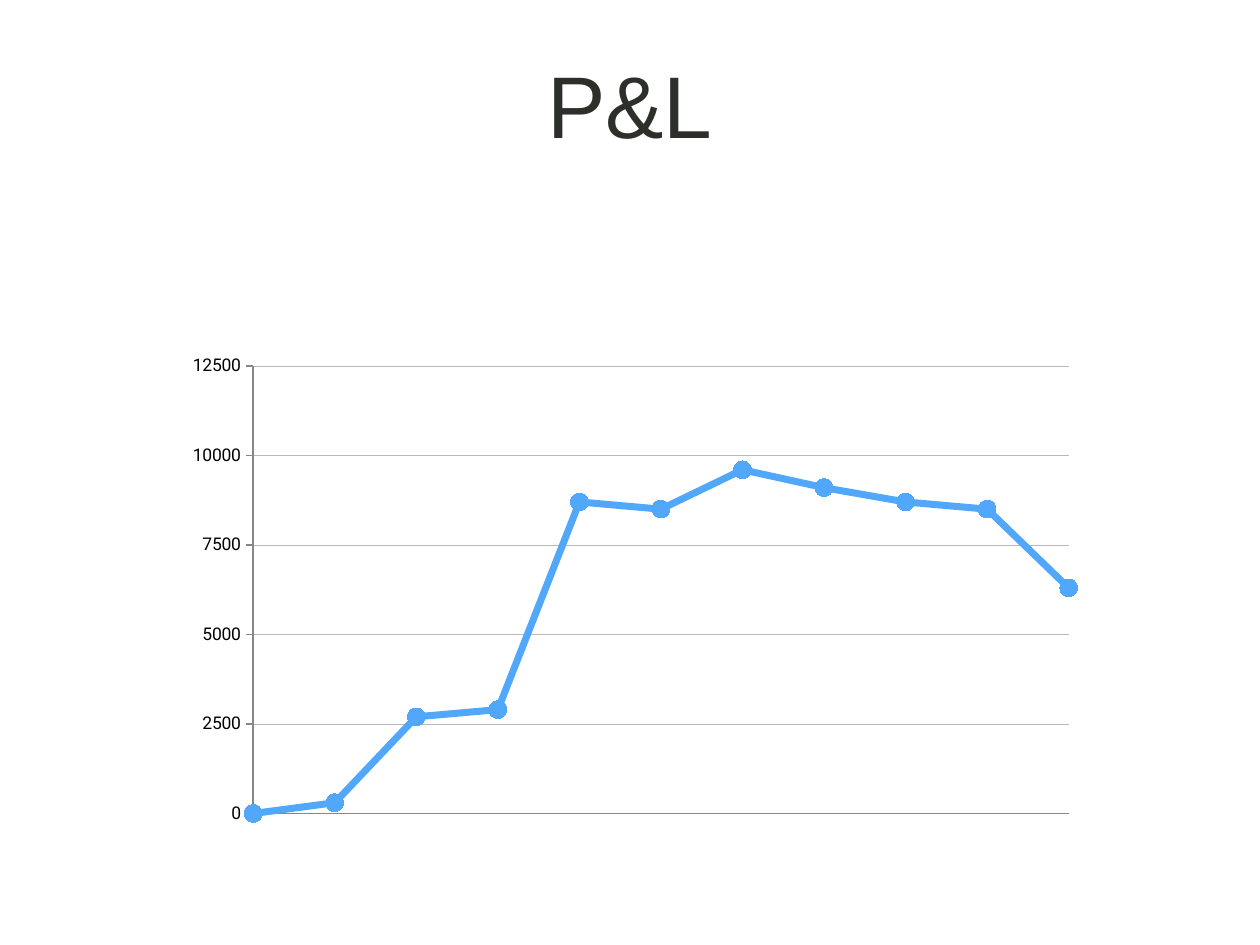
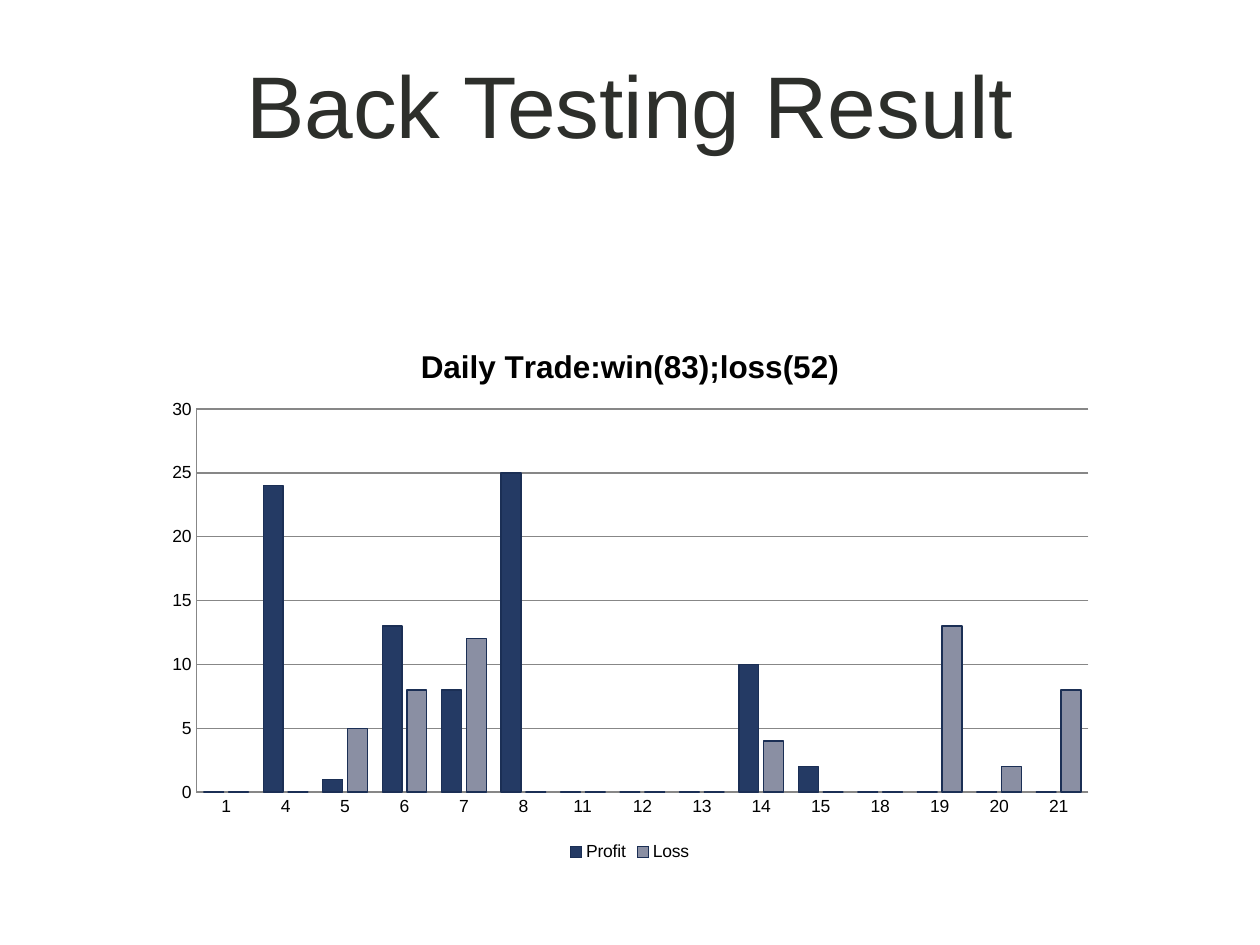
from lxml import etree
from pptx import Presentation
from pptx.chart.data import CategoryChartData
from pptx.dml.color import RGBColor
from pptx.enum.chart import (XL_CHART_TYPE, XL_LEGEND_POSITION, XL_MARKER_STYLE,
                             XL_TICK_LABEL_POSITION, XL_TICK_MARK)
from pptx.enum.text import MSO_ANCHOR, PP_ALIGN
from pptx.oxml.ns import qn
from pptx.util import Pt

LINE_MARKERS = XL_CHART_TYPE.LINE_MARKERS
COLUMNS = XL_CHART_TYPE.COLUMN_CLUSTERED
LEGEND_BOTTOM = XL_LEGEND_POSITION.BOTTOM
CIRCLE = XL_MARKER_STYLE.CIRCLE
NO_LABELS = XL_TICK_LABEL_POSITION.NONE
NO_TICK = XL_TICK_MARK.NONE
TICK_OUT = XL_TICK_MARK.OUTSIDE
MIDDLE = MSO_ANCHOR.MIDDLE
CENTER = PP_ALIGN.CENTER

EMU_PER_PX = 9144
TITLE_COLOR = RGBColor(0x2D, 0x2F, 0x2B)
BLACK = RGBColor(0x00, 0x00, 0x00)
AXIS_GRAY = RGBColor(0x87, 0x87, 0x87)
GRID_GRAY = RGBColor(0xB8, 0xB8, 0xB8)
PNL_BLUE = RGBColor(0x51, 0xA7, 0xF9)
PROFIT_NAVY = RGBColor(0x24, 0x3A, 0x64)
LOSS_GRAY = RGBColor(0x8A, 0x8F, 0xA3)
BAR_EDGE = RGBColor(0x1B, 0x2F, 0x55)

PNL = [0, 300, 2700, 2900, 8700, 8500, 9600, 9100, 8700, 8500, 6300]
TRADE_DAYS = [1, 4, 5, 6, 7, 8, 11, 12, 13, 14, 15, 18, 19, 20, 21]
PROFIT = [0, 24, 1, 13, 8, 25, 0, 0, 0, 10, 2, 0, 0, 0, 0]
LOSS = [0, 0, 5, 8, 12, 0, 0, 0, 0, 4, 0, 0, 13, 2, 8]


def px(*lengths):
    return [n * EMU_PER_PX for n in lengths]


def set_line(line, color, width):
    line.color.rgb = color
    line.width = Pt(width)


def set_font(font, size, name="Arial", color=BLACK, bold=False):
    font.size = Pt(size)
    font.name = name
    font.color.rgb = color
    font.bold = bold


def add_titled_slide(prs, title):
    s = prs.slides.add_slide(prs.slide_layouts[6])
    tf = s.shapes.add_textbox(*px(75, 7, 850, 150)).text_frame
    tf.word_wrap = True
    tf.vertical_anchor = MIDDLE
    p = tf.paragraphs[0]
    p.text = title
    p.alignment = CENTER
    set_font(p.font, 50, color=TITLE_COLOR)
    return s


def place_plot(chart, **fractions):
    area = chart._chartSpace.chart.plotArea
    for old in area.findall(qn("c:layout")):
        area.remove(old)
    layout = etree.Element(qn("c:layout"))
    manual = etree.SubElement(layout, qn("c:manualLayout"))
    settings = {"layoutTarget": "inner", "xMode": "edge", "yMode": "edge", **fractions}
    for tag, value in settings.items():
        etree.SubElement(manual, qn("c:" + tag), val=str(value))
    area.insert(0, layout)


def start_line_on_axis(axis):
    element = axis._element
    for old in element.findall(qn("c:crossBetween")):
        element.remove(old)
    between = etree.Element(qn("c:crossBetween"), val="midCat")
    element.find(qn("c:majorUnit")).addprevious(between)


def add_chart(s, kind, box, categories, series, top, step, font_name):
    data = CategoryChartData()
    data.categories = [str(c) for c in categories]
    for name, values in series.items():
        data.add_series(name, values)
    chart = s.shapes.add_chart(kind, *px(*box), data).chart
    set_font(chart.font, 10, font_name)
    chart.has_title = False
    chart.has_legend = False
    chart.plots[0].vary_by_categories = False
    for axis in (chart.category_axis, chart.value_axis):
        axis.major_tick_mark = NO_TICK
        axis.minor_tick_mark = NO_TICK
        set_line(axis.format.line, AXIS_GRAY, 1)
    axis = chart.value_axis
    axis.minimum_scale = 0
    axis.maximum_scale = top
    axis.major_unit = step
    axis.has_major_gridlines = True
    axis.tick_labels.number_format = "0"
    axis.tick_labels.number_format_is_linked = False
    return chart


def add_pnl_chart(s):
    chart = add_chart(s, LINE_MARKERS, (138, 275, 724, 387), range(1, 12),
                      {"Series 1": PNL}, 12500, 2500, "Roboto")
    place_plot(chart, x=0.087, y=0.04, w=0.894, h=0.918)
    chart.category_axis.tick_label_position = NO_LABELS
    axis = chart.value_axis
    axis.major_tick_mark = TICK_OUT
    set_line(axis.major_gridlines.format.line, GRID_GRAY, 0.25)
    start_line_on_axis(axis)
    line = chart.plots[0].series[0]
    line.smooth = False
    set_line(line.format.line, PNL_BLUE, 4)
    marker = line.marker
    marker.style = CIRCLE
    marker.size = 10
    marker.format.fill.solid()
    marker.format.fill.fore_color.rgb = PNL_BLUE
    set_line(marker.format.line, PNL_BLUE, 1)


def add_trade_chart(s):
    chart = add_chart(s, COLUMNS, (121, 256, 758, 432), TRADE_DAYS,
                      {"Profit": PROFIT, "Loss": LOSS}, 30, 5, "Arial")
    place_plot(chart, x=0.046, y=0.159, w=0.934, h=0.704)
    set_line(chart.value_axis.major_gridlines.format.line, AXIS_GRAY, 0.75)
    chart.has_title = True
    p = chart.chart_title.text_frame.paragraphs[0]
    p.text = "Daily Trade:win(83);loss(52)"
    set_font(p.font, 18, bold=True)
    chart.has_legend = True
    chart.legend.position = LEGEND_BOTTOM
    chart.legend.include_in_layout = False
    plot = chart.plots[0]
    plot.gap_width = 75
    plot.overlap = -25
    for bars, color in zip(plot.series, (PROFIT_NAVY, LOSS_GRAY)):
        bars.format.fill.solid()
        bars.format.fill.fore_color.rgb = color
        set_line(bars.format.line, BAR_EDGE, 0.75)


def main():
    prs = Presentation()
    prs.slide_width, prs.slide_height = px(1000, 750)
    add_pnl_chart(add_titled_slide(prs, "P&L"))
    add_trade_chart(add_titled_slide(prs, "Back Testing Result"))
    prs.save("out.pptx")


if __name__ == "__main__":
    main()
